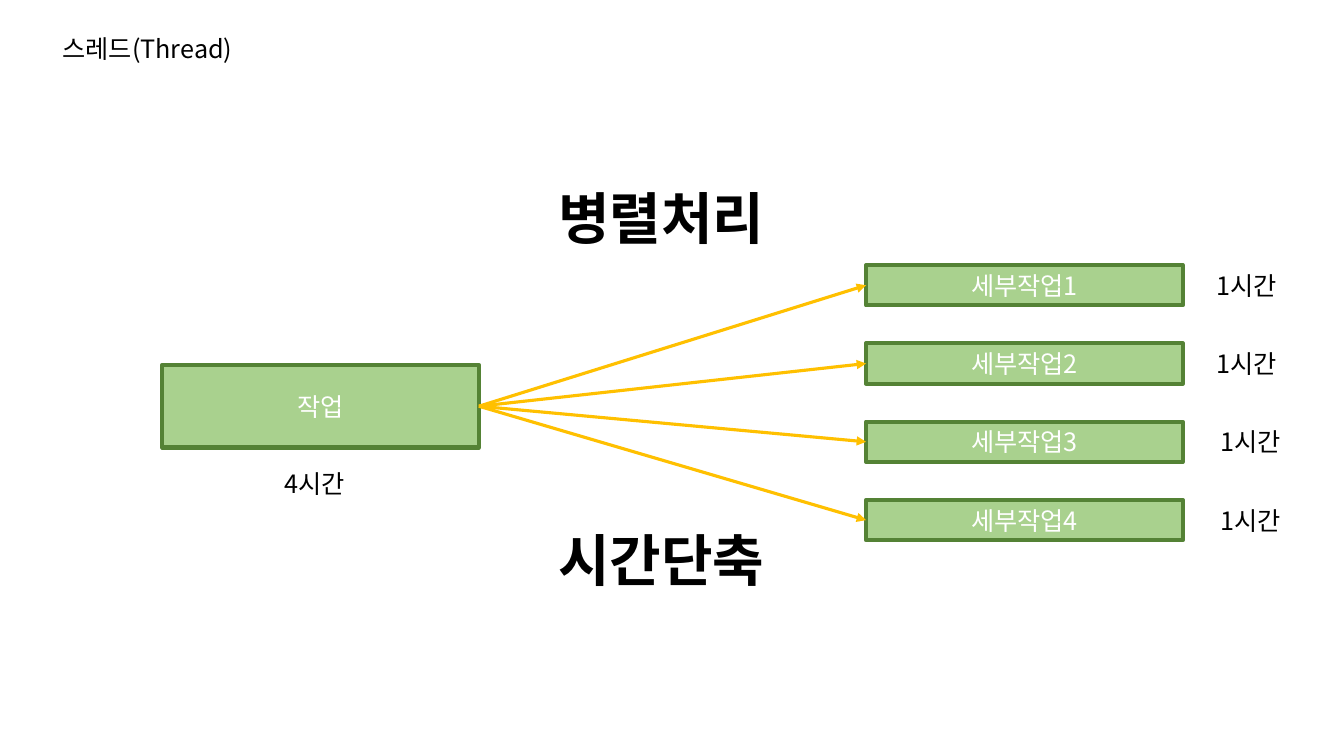
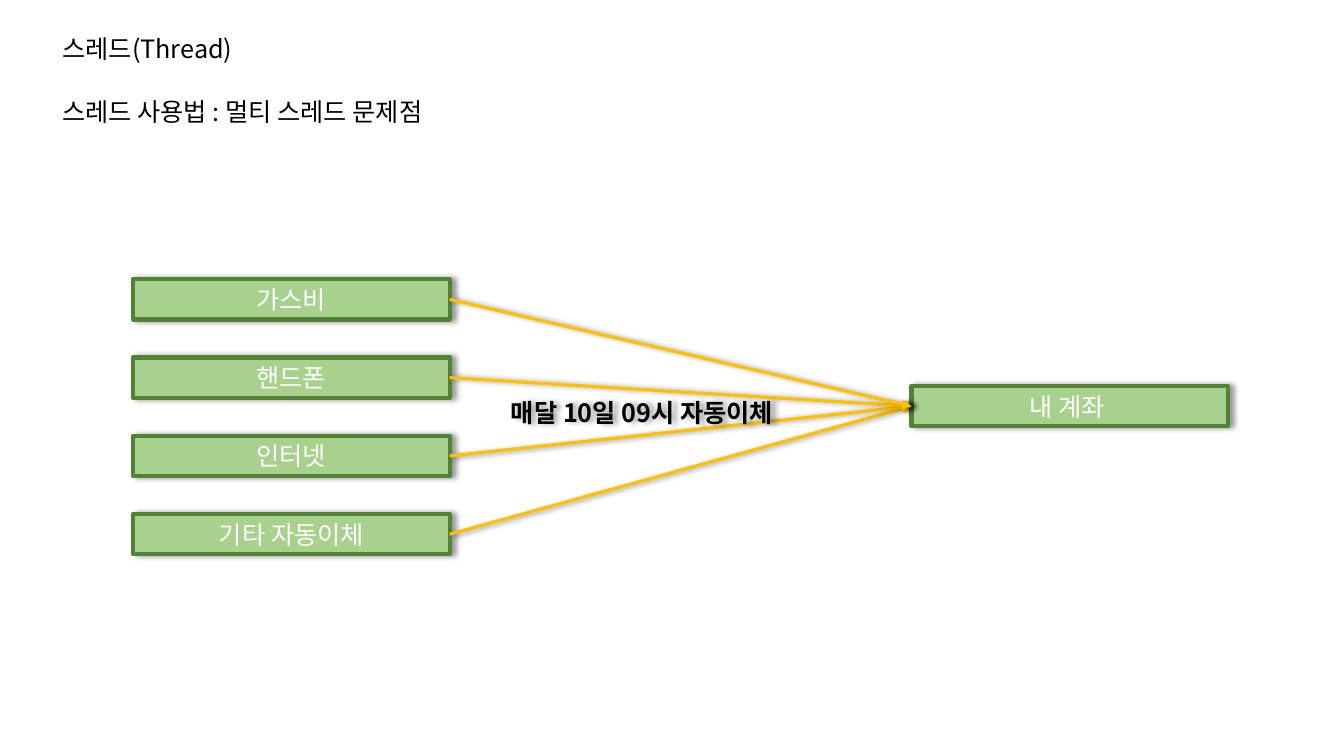
from pptx import Presentation, util as u
from pptx.dml.color import RGBColor
from pptx.enum import shapes, text
from pptx.oxml.ns import qn
from lxml import etree

Inches = u.Inches
BLACK = RGBColor(0x00, 0x00, 0x00)
WHITE = RGBColor(0xFF, 0xFF, 0xFF)
GREEN = RGBColor(0xA9, 0xD1, 0x8E)
DARK_GREEN = RGBColor(0x54, 0x82, 0x35)
AMBER = RGBColor(0xFF, 0xC0, 0x00)

FONT = "Noto Sans CJK KR"
TITLE = "스레드(Thread)"
TITLE_ONLY = 5
LEFT, RIGHT = 1, 3
BOX_WIDTH, BAR_HEIGHT, LABEL_HEIGHT = 3.14, 0.4, 0.4


class Deck:
    """Holds the shared style and the slide being built."""

    def __init__(self):
        self.presentation = Presentation()
        self.presentation.slide_width = Inches(13.33)
        self.presentation.slide_height = Inches(7.5)
        self.slide = None
        self.shadowed = False

    def new_slide(self, title, shadowed=False):
        layout = self.presentation.slide_layouts[TITLE_ONLY]
        self.slide = self.presentation.slides.add_slide(layout)
        self.shadowed = shadowed
        placeholder = self.slide.shapes.title
        placeholder.left, placeholder.top = Inches(0.52), Inches(0.28)
        placeholder.width, placeholder.height = Inches(2.68), Inches(LABEL_HEIGHT)
        self.set_text(placeholder, title)

    def set_text(self, shape, words, align=text.PP_ALIGN.LEFT,
                 anchor=text.MSO_ANCHOR.TOP, size=18, color=BLACK, bold=False):
        frame = shape.text_frame
        settings = {"word_wrap": True, "vertical_anchor": anchor,
                    "auto_size": text.MSO_AUTO_SIZE.NONE}
        for name, value in settings.items():
            setattr(frame, name, value)
        paragraph = frame.paragraphs[0]
        paragraph.alignment = align
        run = paragraph.add_run()
        run.text = words
        settings = {"name": FONT, "size": u.Pt(size), "bold": bold}
        for name, value in settings.items():
            setattr(run.font, name, value)
        run.font.color.rgb = color
        # Korean glyphs take the East Asian typeface
        latin = run.font._element.find(qn("a:latin"))
        latin.addnext(etree.Element(qn("a:ea"), typeface=FONT))

    def set_effects(self, shape, shadowed):
        properties = shape._element.spPr
        effects = etree.SubElement(properties, qn("a:effectLst"))
        if shadowed:
            shadow = etree.SubElement(
                effects, qn("a:outerShdw"), blurRad=str(u.Pt(4)),
                dist=str(u.Pt(3)), dir="0", algn="l", rotWithShape="0")
            color = etree.SubElement(shadow, qn("a:srgbClr"), val=str(BLACK))
            etree.SubElement(color, qn("a:alpha"), val="40000")

    def label(self, words, left, top, width, height=LABEL_HEIGHT,
              shadowed=False, **style):
        box = self.slide.shapes.add_textbox(
            Inches(left), Inches(top), Inches(width), Inches(height))
        self.set_text(box, words, **style)
        if shadowed:
            self.set_effects(box, True)

    def box(self, words, left, top, height=BAR_HEIGHT):
        shape = self.slide.shapes.add_shape(
            shapes.MSO_SHAPE.RECTANGLE, Inches(left), Inches(top),
            Inches(BOX_WIDTH), Inches(height))
        shape.fill.solid()
        shape.fill.fore_color.rgb = GREEN
        shape.line.color.rgb = DARK_GREEN
        shape.line.width = u.Pt(3)
        self.set_effects(shape, self.shadowed)
        self.set_text(shape, words, align=text.PP_ALIGN.CENTER,
                      anchor=text.MSO_ANCHOR.MIDDLE, color=WHITE)
        return shape

    def stack(self, names, left, tops):
        return [self.box(name, left, top) for name, top in zip(names, tops)]

    def arrow(self, source, target):
        connector = self.slide.shapes.add_connector(
            shapes.MSO_CONNECTOR.STRAIGHT, 0, 0, 0, 0)
        connector.begin_connect(source, RIGHT)
        connector.end_connect(target, LEFT)
        connector.line.color.rgb = AMBER
        connector.line.width = u.Pt(2.25)
        line = connector._element.spPr.find(qn("a:ln"))
        etree.SubElement(line, qn("a:tailEnd"), type="triangle")
        self.set_effects(connector, self.shadowed)


def row_tops(first, count=4, total=2.33):
    """Evenly spaced tops, with the last one `total` below the first."""
    return [first + total * row / (count - 1) for row in range(count)]


def build_parallel_work(deck):
    deck.new_slide(TITLE)

    # One job split into four parts
    job = deck.box("작업", 1.61, 3.62, height=0.82)
    tops = row_tops(2.63)
    parts = deck.stack([f"세부작업{n}" for n in range(1, 5)], 8.59, tops)
    for part in parts:
        deck.arrow(job, part)

    # Durations
    deck.label("4시간", 2.72, 4.6, 0.9)
    for top, left in zip(tops, (11.97, 11.97, 12.01, 12.01)):
        deck.label("1시간", left, top, 0.9)

    # Key messages
    for words, top in (("병렬처리", 1.77), ("시간단축", 5.16)):
        deck.label(words, 5.44, top, 2.45, 0.77, size=40, bold=True)


def build_thread_problem(deck):
    deck.new_slide(TITLE, shadowed=True)
    deck.label("스레드 사용법 : 멀티 스레드 문제점", 0.52, 0.91, 4.68)

    # Four payments drawn from one account
    names = ("가스비", "핸드폰", "인터넷", "기타 자동이체")
    payments = deck.stack(names, 1.32, row_tops(2.77))
    account = deck.box("내 계좌 ", 9.04, 3.83)
    for payment in reversed(payments):
        deck.arrow(payment, account)
    deck.label("매달 10일 09시 자동이체", 4.97, 3.89, 3, shadowed=True, bold=True)


def main():
    deck = Deck()
    build_parallel_work(deck)
    build_thread_problem(deck)
    deck.presentation.save("out.pptx")


if __name__ == "__main__":
    main()
